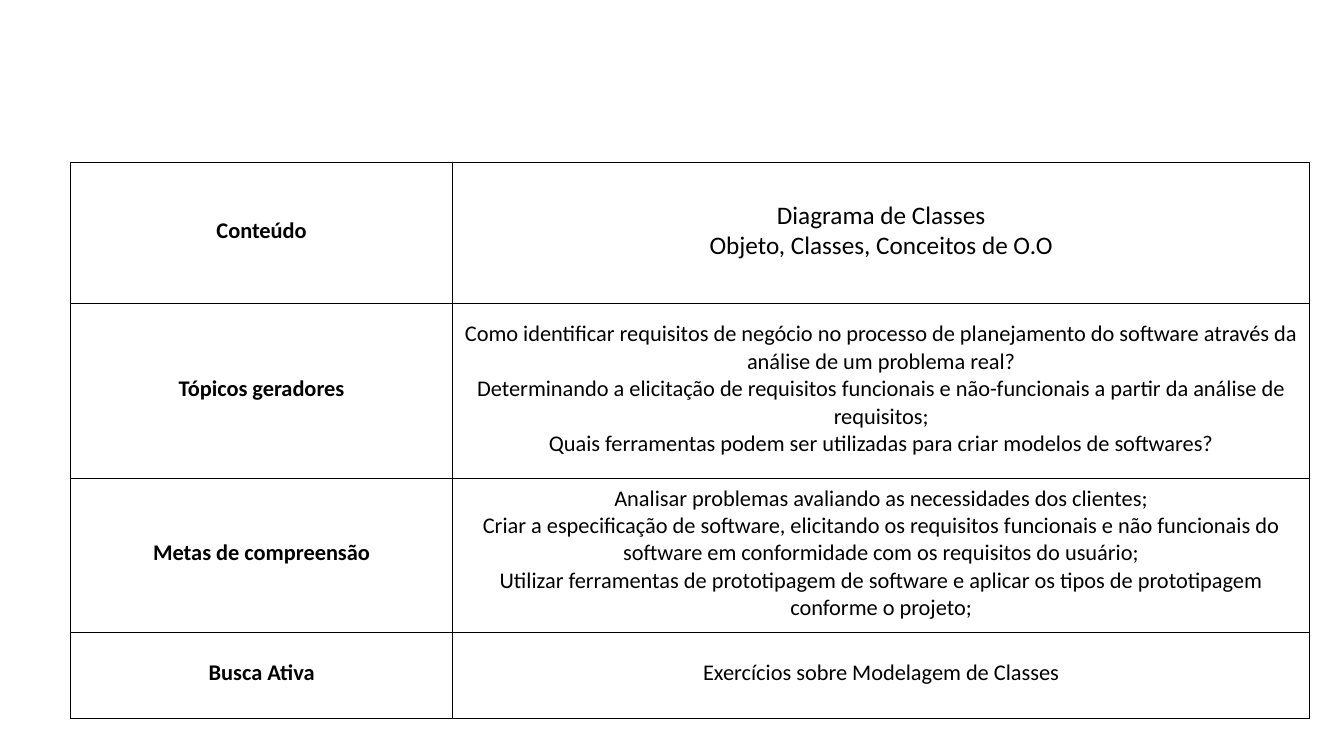
from lxml import etree
from pptx import Presentation, util as u
from pptx.dml.color import RGBColor
from pptx.enum import text
from pptx.oxml import ns

BLACK = "000000"
WIDTH, HEIGHT = 13.33, 7.5
TABLE_BOX = (0.7, 1.61, 12.29, 5.52)
COLUMN_SHARES = (3.79, 8.5)
ROW_SHARES = (1.4, 1.74, 1.52, 0.86)

# Row label, text size of the description, description paragraphs
PLAN = [
    ("Conteúdo", 18, [
        "Diagrama de Classes",
        "Objeto, Classes, Conceitos de O.O",
    ]),
    ("Tópicos geradores", 16, [
        "Como identificar requisitos de negócio no processo de planejamento "
        "do software através da análise de um problema real?",
        "Determinando a elicitação de requisitos funcionais e não-funcionais "
        "a partir da análise de requisitos;",
        "Quais ferramentas podem ser utilizadas para criar modelos de softwares?",
    ]),
    ("Metas de compreensão", 16, [
        "Analisar problemas avaliando as necessidades dos clientes;",
        "Criar a especificação de software, elicitando os requisitos funcionais "
        "e não funcionais do software em conformidade com os requisitos do usuário;",
        "Utilizar ferramentas de prototipagem de software e aplicar os tipos "
        "de prototipagem conforme o projeto;",
    ]),
    ("Busca Ativa", 16, ["Exercícios sobre Modelagem de Classes"]),
]


def color(hex_code):
    return RGBColor.from_string(hex_code)


def set_all(target, values):
    for name, value in values.items():
        setattr(target, name, value)


def add_borders(cell, hex_code, points):
    """Outline the four sides of a cell, ahead of its fill element."""
    properties = cell._tc.get_or_add_tcPr()
    for index, side in enumerate(("lnL", "lnR", "lnT", "lnB")):
        line = etree.Element(ns.qn(f"a:{side}"), w=str(u.Pt(points)))
        fill = etree.SubElement(line, ns.qn("a:solidFill"))
        etree.SubElement(fill, ns.qn("a:srgbClr"), val=hex_code)
        properties.insert(index, line)


def fill_cell(cell, lines, size, bold):
    set_all(cell, {
        "vertical_anchor": text.MSO_ANCHOR.MIDDLE,
        "margin_left": u.Inches(0.01),
        "margin_right": u.Inches(0.01),
        "margin_top": u.Inches(0.01),
        "margin_bottom": u.Inches(0.05),
    })
    cell.fill.background()
    add_borders(cell, BLACK, 0.5)
    cell.text_frame.text = "\n".join(lines)
    for para in cell.text_frame.paragraphs:
        para.alignment = text.PP_ALIGN.CENTER
        for span in para.runs:
            set_all(span.font, {"name": "Calibri", "size": u.Pt(size), "bold": bold})
            span.font.color.rgb = color(BLACK)


def add_plan_table(page, box):
    left, top, width, height = box
    frame = page.shapes.add_table(len(PLAN), len(COLUMN_SHARES),
                                  *(u.Inches(length) for length in box))
    table = frame.table
    set_all(table, {"first_row": False, "horz_banding": False})
    for column, share in zip(table.columns, COLUMN_SHARES):
        column.width = u.Inches(width * share / sum(COLUMN_SHARES))
    for row, share, (label, size, lines) in zip(table.rows, ROW_SHARES, PLAN):
        row.height = u.Inches(height * share / sum(ROW_SHARES))
        fill_cell(row.cells[0], [label], 16, True)
        fill_cell(row.cells[1], lines, size, False)


def main():
    deck = Presentation()
    set_all(deck, {"slide_width": u.Inches(WIDTH), "slide_height": u.Inches(HEIGHT)})
    page = deck.slides.add_slide(deck.slide_layouts[6])
    add_plan_table(page, TABLE_BOX)
    deck.save("out.pptx")


if __name__ == "__main__":
    main()
